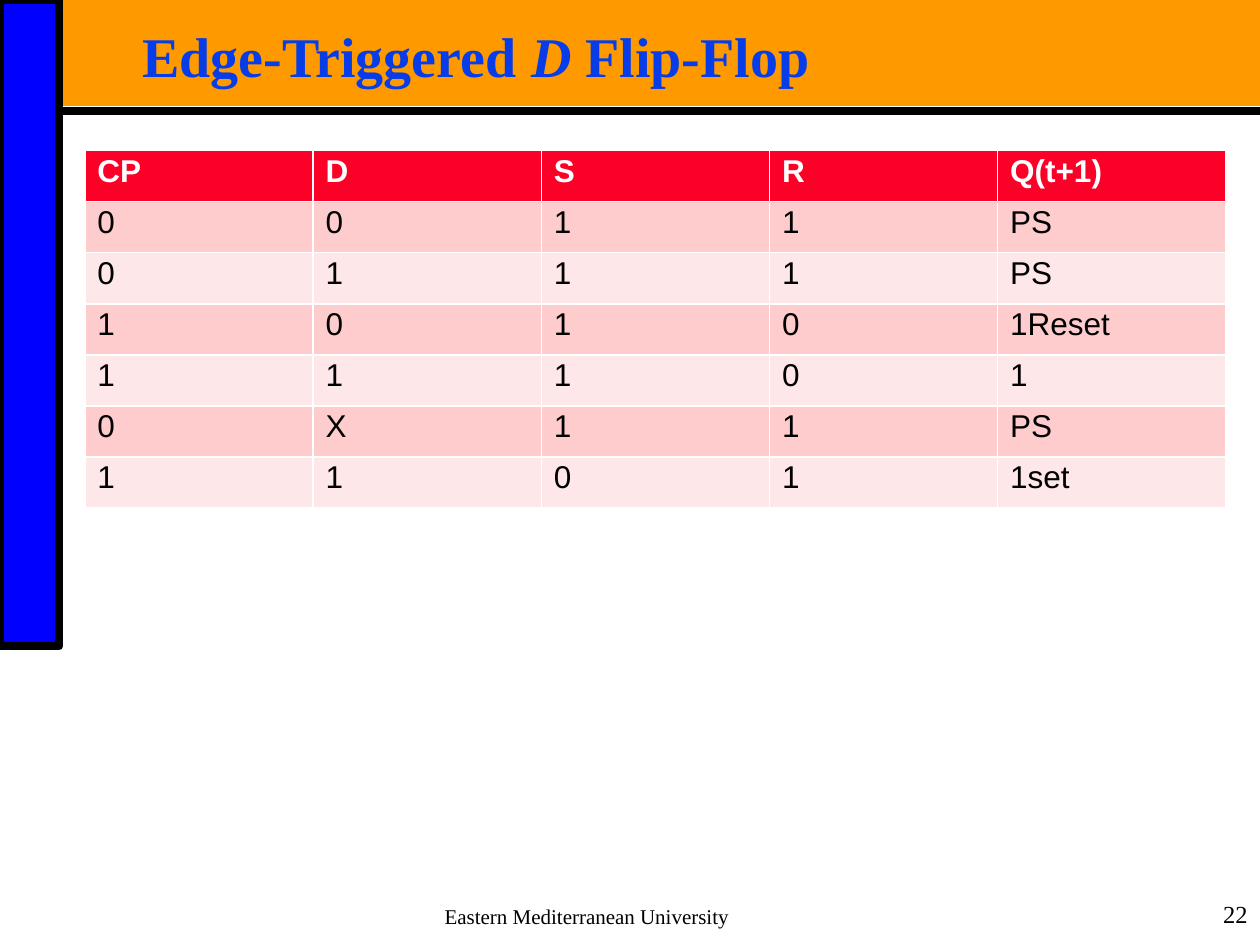
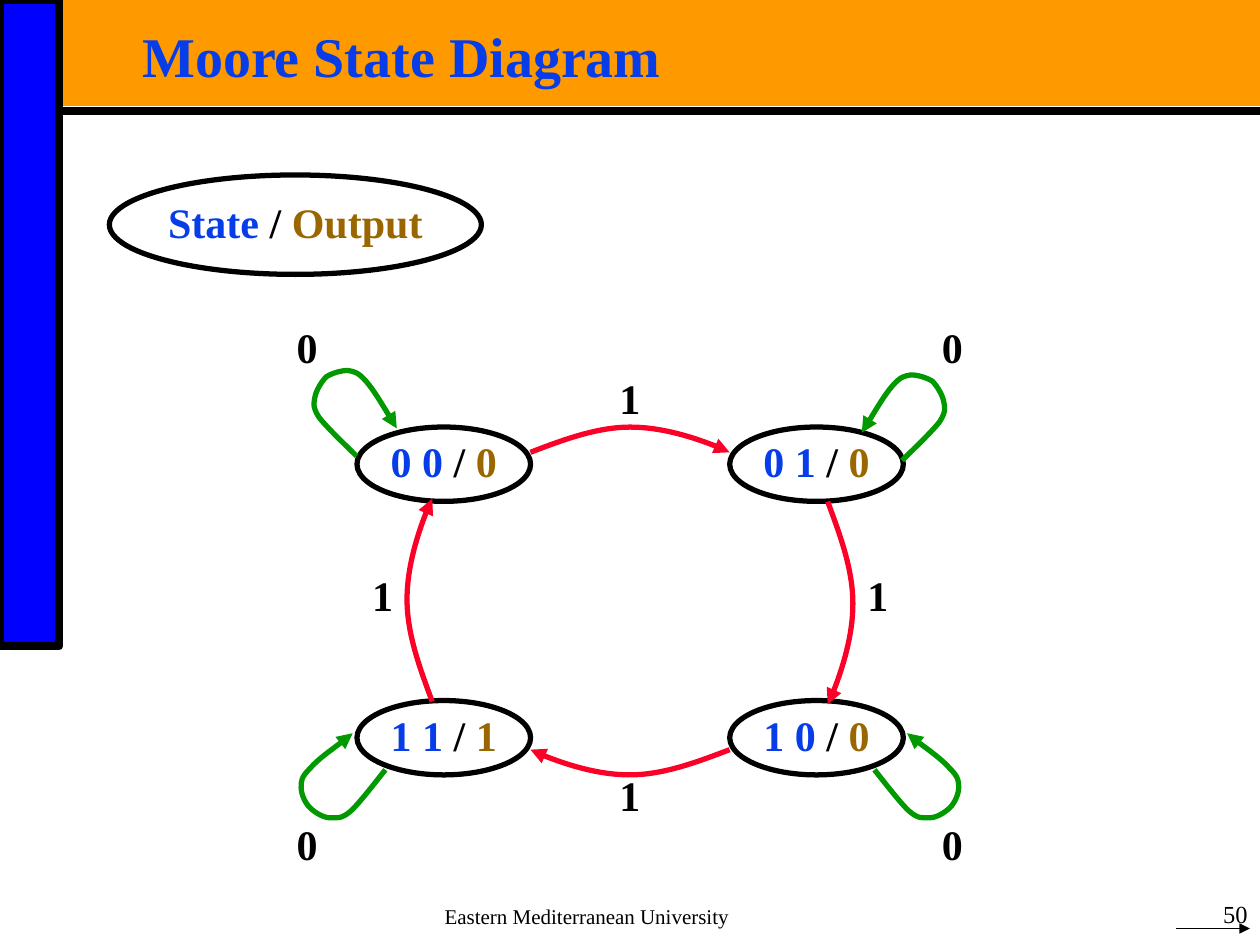
from dataclasses import dataclass
from typing import Optional

from pptx import Presentation
from pptx.dml.color import RGBColor
from pptx.enum.shapes import MSO_CONNECTOR, MSO_SHAPE
from pptx.enum.text import MSO_ANCHOR, MSO_AUTO_SIZE, PP_ALIGN
from pptx.oxml.ns import qn
from pptx.oxml.xmlchemy import OxmlElement
from pptx.util import Pt

BLACK = RGBColor(0x00, 0x00, 0x00)
WHITE = RGBColor(0xFF, 0xFF, 0xFF)
ORANGE = RGBColor(0xFF, 0x99, 0x00)
BAR_BLUE = RGBColor(0x00, 0x00, 0xFF)
TEXT_BLUE = RGBColor(0x06, 0x3D, 0xE8)
BROWN = RGBColor(0x99, 0x66, 0x00)
RED = RGBColor(0xFC, 0x01, 0x28)
GREEN = RGBColor(0x00, 0x99, 0x00)
ROW_TINTS = (RGBColor(0xFE, 0xCC, 0xCD), RGBColor(0xFE, 0xE7, 0xE8))

SERIF = "Times New Roman"
SANS = "Arial"
SLIDE_W, SLIDE_H = 720, 540
BAND_LEFT = 33.84
FOOTER = "Eastern Mediterranean University"

Point = tuple[float, float]


@dataclass
class Box:
    left: float
    top: float
    width: float
    height: float

    def lengths(self) -> tuple:
        return Pt(self.left), Pt(self.top), Pt(self.width), Pt(self.height)


@dataclass
class State:
    box: Box
    state: str
    output: str


@dataclass
class Label:
    text: str
    left: float
    top: float


@dataclass
class Curve:
    points: list[Point]
    color: RGBColor

    def mirrored(self, dx: float = 0, dy: float = 0) -> "Curve":
        return Curve([(SLIDE_W - x + dx, y + dy) for x, y in self.points], self.color)

    def turned(self, height_sum: float) -> "Curve":
        return Curve([(SLIDE_W - x, height_sum - y) for x, y in self.points], self.color)


TRUTH_TABLE = (
    ("CP", "D", "S", "R", "Q(t+1)"),
    ("0", "0", "1", "1", "PS"),
    ("0", "1", "1", "1", "PS"),
    ("1", "0", "1", "0", "1Reset"),
    ("1", "1", "1", "0", "1"),
    ("0", "X", "1", "1", "PS"),
    ("1", "1", "0", "1", "1set"),
)
TABLE_BOX = Box(48.5, 86, 652, 204.4)

LEFT_X, RIGHT_X, TOP_Y, BOTTOM_Y = 204, 417, 244, 400.3
STATES = [State(Box(62.5, 100, 212.6, 56.8), "State ", "Output")] + [
    State(Box(x, y, 99.2, 42.5), state, output)
    for x, y, state, output in (
        (LEFT_X, TOP_Y, "0 0 ", "0"),
        (RIGHT_X, TOP_Y, "0 1 ", "0"),
        (LEFT_X, BOTTOM_Y, "1 1 ", "1"),
        (RIGHT_X, BOTTOM_Y, "1 0 ", "0"),
    )
]

LABELS = [Label("0", x, y) for x in (161.3, 530) for y in (187.2, 471)] + [
    Label("1", 345.8, 216),
    Label("1", 345.8, 442.8),
    Label("1", 204.5, 329),
    Label("1", 487.5, 329),
]

TOP_LOOP = Curve([
    (203.8, 260.6), (200.2, 257), (186.5, 244.1), (182.2, 238.3),
    (178.6, 232.6), (179.3, 230.4), (180, 226.8),
    (180.7, 223.2), (183.6, 218.2), (186.5, 215.3),
    (190.1, 213.1), (195.1, 211.7), (198.7, 211.7),
    (202.3, 212.4), (204.5, 212.4), (209.5, 218.2),
    (213.8, 223.2), (223.2, 239), (226.8, 244.8),
], GREEN)
BOTTOM_LOOP = Curve([
    (220.3, 439.9), (216.7, 444.2), (205.2, 459.4), (200.2, 463.7),
    (195.1, 468), (193, 467.3), (188.6, 467.3),
    (185, 467.3), (180, 464.4), (177.1, 461.5),
    (174.2, 458.6), (172.1, 453.6), (172.1, 450),
    (172.1, 446.4), (172.1, 444.2), (177.1, 439.2),
    (182.2, 433.4), (196.6, 423.4), (201.6, 419),
], GREEN)
TOP_ARC = Curve([
    (303.1, 258.5), (321.8, 251.3), (341.3, 244.1), (360, 244.1),
    (378.7, 244.1), (407.5, 253.4), (416.9, 258.5),
], RED)
RIGHT_ARC = Curve([
    (473, 286.6), (480.2, 306), (487.4, 325.4), (487.4, 344.9),
    (487.4, 363.6), (478.1, 393.1), (473, 402.5),
], RED)
CURVES = [
    TOP_LOOP, TOP_LOOP.mirrored(-0.7, 2.5),
    BOTTOM_LOOP, BOTTOM_LOOP.mirrored(),
    TOP_ARC, TOP_ARC.turned(686.9),
    RIGHT_ARC, RIGHT_ARC.turned(687.5),
]


def style(p, size: float, color: Optional[RGBColor], bold: bool = False,
          name: str = SERIF, align=PP_ALIGN.LEFT, spacing: float = 1.0) -> None:
    p.alignment = align
    p.line_spacing = spacing
    p.font.name, p.font.size, p.font.bold = name, Pt(size), bold
    if color is not None:
        p.font.color.rgb = color


def set_insets(tf, x: float, y: float) -> None:
    tf.margin_left = tf.margin_right = Pt(x)
    tf.margin_top = tf.margin_bottom = Pt(y)


def add_runs(p, runs: list[tuple[str, RGBColor]]) -> None:
    for text, color in runs:
        r = p.add_run()
        r.text = text
        r.font.color.rgb = color


def add_block(slide, kind, box: Box, fill: Optional[RGBColor], line_width: float = 0):
    sp = slide.shapes.add_shape(kind, *box.lengths())
    sp.shadow.inherit = False
    if fill is None:
        sp.fill.background()
    else:
        sp.fill.solid()
        sp.fill.fore_color.rgb = fill
    if line_width:
        set_line(sp, BLACK, line_width)
    else:
        sp.line.fill.background()
    return sp


def set_line(sp, color: RGBColor, width: float, arrow: bool = False) -> None:
    sp.line.color.rgb = color
    sp.line.width = Pt(width)
    if arrow:
        tail = OxmlElement("a:tailEnd")
        tail.set("type", "triangle")
        sp.element.spPr.find(qn("a:ln")).append(tail)


def add_rule(slide, start: Point, end: Point, width: float, arrow: bool = False):
    ends = [Pt(value) for value in (*start, *end)]
    sp = slide.shapes.add_connector(MSO_CONNECTOR.STRAIGHT, *ends)
    set_line(sp, BLACK, width, arrow)
    sp.element.spPr.append(OxmlElement("a:effectLst"))
    return sp


def add_text(slide, box: Box, text: str, anchor=MSO_ANCHOR.BOTTOM):
    tf = slide.shapes.add_textbox(*box.lengths()).text_frame
    tf.word_wrap = True
    tf.vertical_anchor = anchor
    tf.text = text
    return tf


def add_curve(slide, curve: Curve) -> None:
    points = [(Pt(x), Pt(y)) for x, y in curve.points]
    builder = slide.shapes.build_freeform(*points[0])
    builder.add_line_segments(points[1:], close=False)
    sp = builder.convert_to_shape()
    segments = list(sp.element.iter(qn("a:lnTo")))
    for i in range(0, len(segments), 3):
        bezier = OxmlElement("a:cubicBezTo")
        segments[i].addprevious(bezier)
        for segment in segments[i:i + 3]:
            bezier.append(segment[0])
            segment.getparent().remove(segment)
    sp.shadow.inherit = False
    sp.fill.background()
    set_line(sp, curve.color, 3, arrow=True)


def add_state(slide, item: State) -> None:
    tf = add_block(slide, MSO_SHAPE.OVAL, item.box, None, 3).text_frame
    set_insets(tf, 0, 0)
    tf.vertical_anchor = MSO_ANCHOR.MIDDLE
    p = tf.paragraphs[0]
    add_runs(p, [(item.state, TEXT_BLUE), ("/ ", BLACK), (item.output, BROWN)])
    style(p, 24, None, True, align=PP_ALIGN.CENTER, spacing=0.9)


def add_label(slide, label: Label) -> None:
    tf = add_text(slide, Box(label.left, label.top, 28.4, 25.9), label.text, MSO_ANCHOR.TOP)
    set_insets(tf, 0, 0)
    style(tf.paragraphs[0], 24, BLACK, True, align=PP_ALIGN.CENTER, spacing=0.9)


def add_truth_table(slide) -> None:
    rows, cols = len(TRUTH_TABLE), len(TRUTH_TABLE[0])
    table = slide.shapes.add_table(rows, cols, *TABLE_BOX.lengths()).table
    for column in table.columns:
        column.width = Pt(TABLE_BOX.width / cols)
    for i, values in enumerate(TRUTH_TABLE):
        table.rows[i].height = Pt(TABLE_BOX.height / rows)
        header = i == 0
        for j, value in enumerate(values):
            cell = table.cell(i, j)
            cell.text = value
            cell.fill.solid()
            cell.fill.fore_color.rgb = RED if header else ROW_TINTS[(i - 1) % 2]
            style(cell.text_frame.paragraphs[0], 18, WHITE if header else BLACK,
                  header, SANS, spacing=0.9)


def add_bands(slide, layout) -> None:
    bands = [
        add_block(slide, MSO_SHAPE.RECTANGLE,
                  Box(BAND_LEFT, 0, SLIDE_W - BAND_LEFT, 60.5), ORANGE),
        add_block(slide, MSO_SHAPE.RECTANGLE, Box(0, 0, BAND_LEFT, 369.4), BAR_BLUE, 4.5),
        add_rule(slide, (BAND_LEFT, 63.2), (SLIDE_W, 63.2), 4.5),
    ]
    for i, sp in enumerate(bands):
        layout.shapes.element.insert(2 + i, sp.element)


def add_page(prs, layout, title: list[tuple[str, bool]], height: float, number: str):
    slide = prs.slides.add_slide(layout)
    sp = slide.shapes.title
    sp.left, sp.top, sp.width, sp.height = Box(76.3, 15.1, 623.5, height).lengths()
    tf = sp.text_frame
    tf.auto_size = MSO_AUTO_SIZE.NONE
    tf.vertical_anchor = MSO_ANCHOR.TOP
    set_insets(tf, 5, 2.2)
    p = tf.paragraphs[0]
    for text, italic in title:
        r = p.add_run()
        r.text = text
        r.font.italic = italic
    style(p, 32, TEXT_BLUE, True, spacing=0.87)
    footer = add_text(slide, Box(247, 511.2, 260.6, 23), FOOTER)
    style(footer.paragraphs[0], 12, BLACK)
    page = add_text(slide, Box(625.7, 511.2, 94.3, 23), number)
    style(page.paragraphs[0], 14, BLACK, align=PP_ALIGN.RIGHT)
    return slide


def main() -> None:
    prs = Presentation()
    prs.slide_width, prs.slide_height = Pt(SLIDE_W), Pt(SLIDE_H)
    layout = prs.slide_layouts[5]

    flip_flop = add_page(prs, layout, [("Edge-Triggered ", False), ("D", True),
                                       (" Flip-Flop", False)], 71.3, "22")
    add_bands(flip_flop, layout)
    add_truth_table(flip_flop)

    moore = add_page(prs, layout, [("Moore State Diagram", False)], 37.4, "50")
    for item in STATES:
        add_state(moore, item)
    for curve in CURVES:
        add_curve(moore, curve)
    for label in LABELS:
        add_label(moore, label)
    add_rule(moore, (671.8, 530.6), (714.2, 530.6), 0.75, arrow=True)

    prs.save("out.pptx")


if __name__ == "__main__":
    main()
